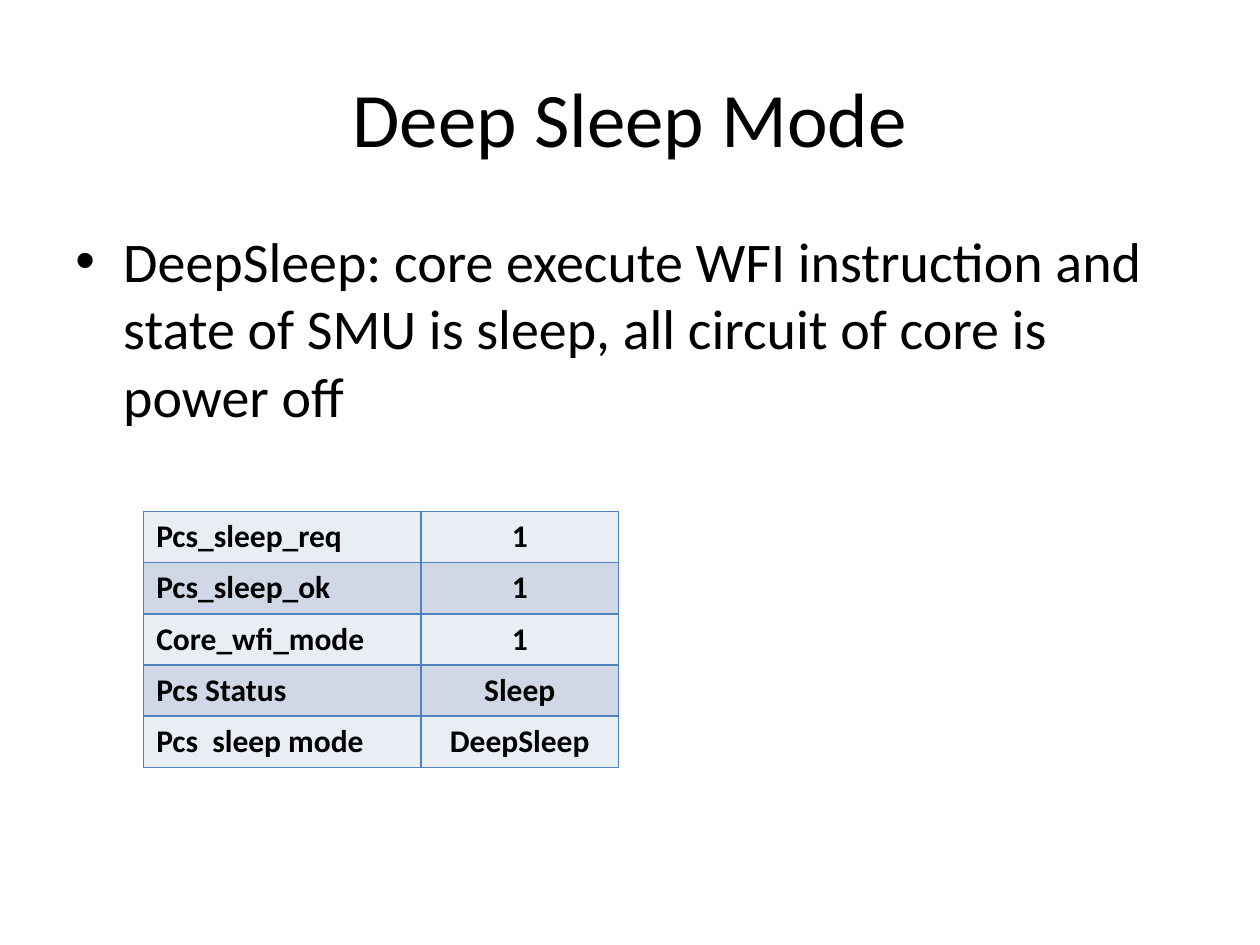
"""Build the Deep Sleep Mode slide."""
from lxml.etree import SubElement as Sub
from pptx import Presentation
from pptx.dml.color import RGBColor as RGB
from pptx.enum.text import MSO_ANCHOR as Anchor, PP_ALIGN as Align
from pptx.oxml.ns import qn
from pptx.util import Inches, Pt


def write(para, text, size, bold=False):
    run = para.add_run()
    run.text = text
    font = run.font
    font.name, font.size, font.bold = "Calibri", Pt(size), bold
    font.color.rgb = RGB.from_string("000000")


def edge(cell, color):
    props = cell._tc.get_or_add_tcPr()
    for n, side in enumerate(("lnL", "lnR", "lnT", "lnB")):
        line = Sub(props, qn(f"a:{side}"), w=str(Pt(1)))
        fill = Sub(line, qn("a:solidFill"))
        Sub(fill, qn("a:srgbClr"), val=color)
        props.insert(n, line)


deck = Presentation()
deck.slide_width, deck.slide_height = Inches(10), Inches(7.5)
slide = deck.slides.add_slide(deck.slide_layouts[6])

title = slide.shapes.add_textbox(Inches(0.5), Inches(0.3), Inches(9), Inches(1.25))
frame = title.text_frame
frame.word_wrap = True
frame.vertical_anchor = Anchor.MIDDLE
para = frame.paragraphs[0]
para.alignment = Align.CENTER
write(para, "Deep Sleep Mode", 44)

body = slide.shapes.add_textbox(Inches(0.5), Inches(1.75), Inches(9), Inches(4.95))
frame = body.text_frame
frame.word_wrap = True
para = frame.paragraphs[0]
props = para._p.get_or_add_pPr()
props.set("marL", str(Inches(0.38)))
props.set("indent", str(Inches(-0.38)))
Sub(props, qn("a:buFont"), typeface="Arial")
Sub(props, qn("a:buChar"), char="•")
write(para, "DeepSleep: core execute WFI instruction and state of SMU is sleep, "
      "all circuit of core is power off", 32)

rows = [
    ("Pcs_sleep_req", "1"),
    ("Pcs_sleep_ok", "1"),
    ("Core_wfi_mode", "1"),
    ("Pcs Status", "Sleep"),
    ("Pcs  sleep mode", "DeepSleep"),
]
bands = ("E9EDF4", "D0D8E8")
table = slide.shapes.add_table(len(rows), 2, Inches(1.14), Inches(4.06),
                               Inches(3.77), Inches(2.03)).table
table.first_row = False
for col, width in zip(table.columns, (2.2, 1.57)):
    col.width = Inches(width)
for r, row in enumerate(rows):
    for c, text in enumerate(row):
        cell = table.cell(r, c)
        cell.fill.solid()
        cell.fill.fore_color.rgb = RGB.from_string(bands[r % 2])
        edge(cell, "4F81BD")
        para = cell.text_frame.paragraphs[0]
        para.alignment = Align.CENTER if c else Align.LEFT
        write(para, text, 18, True)

deck.save("out.pptx")
